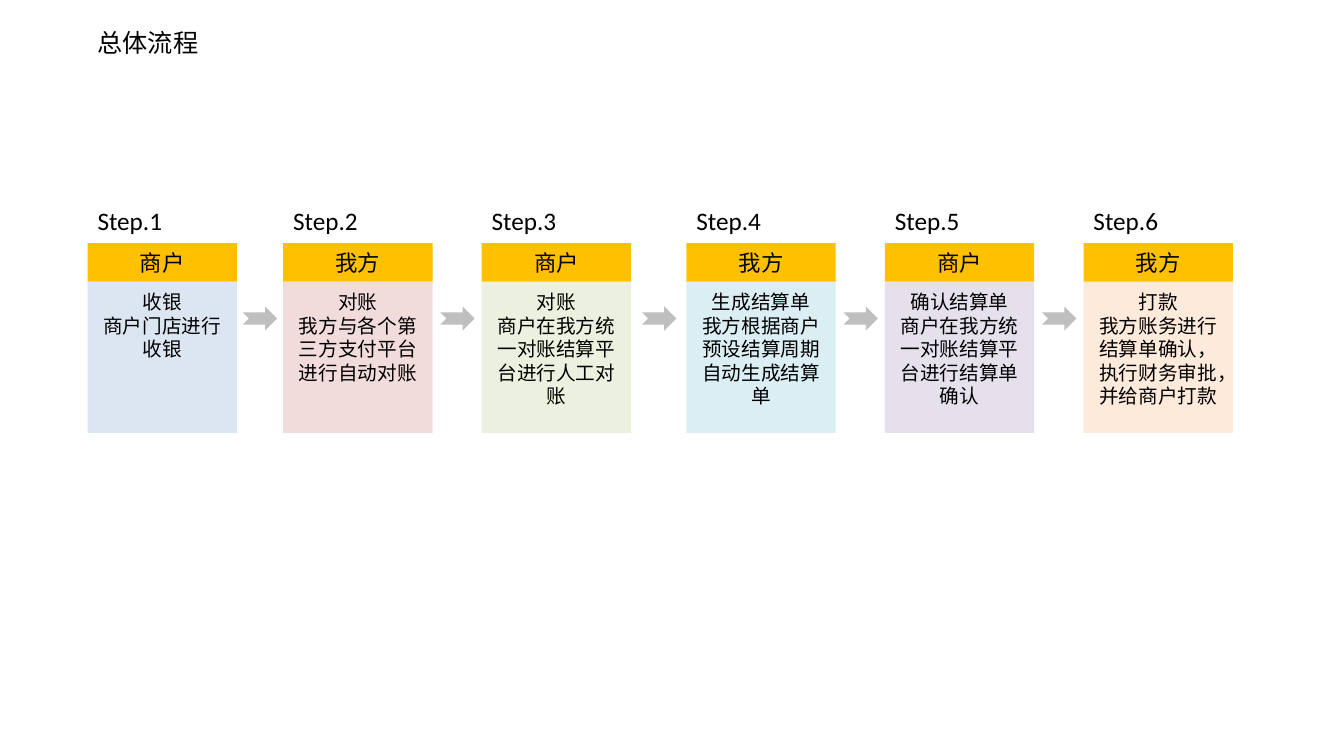
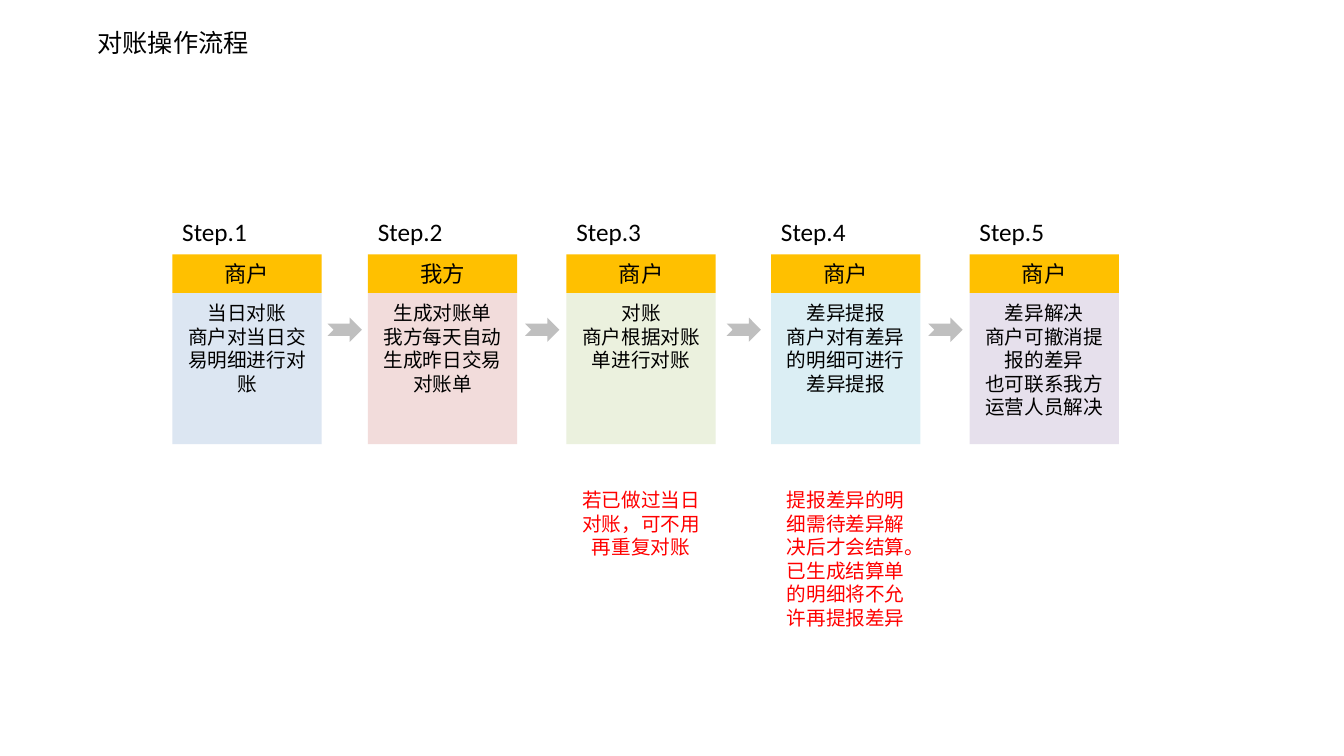
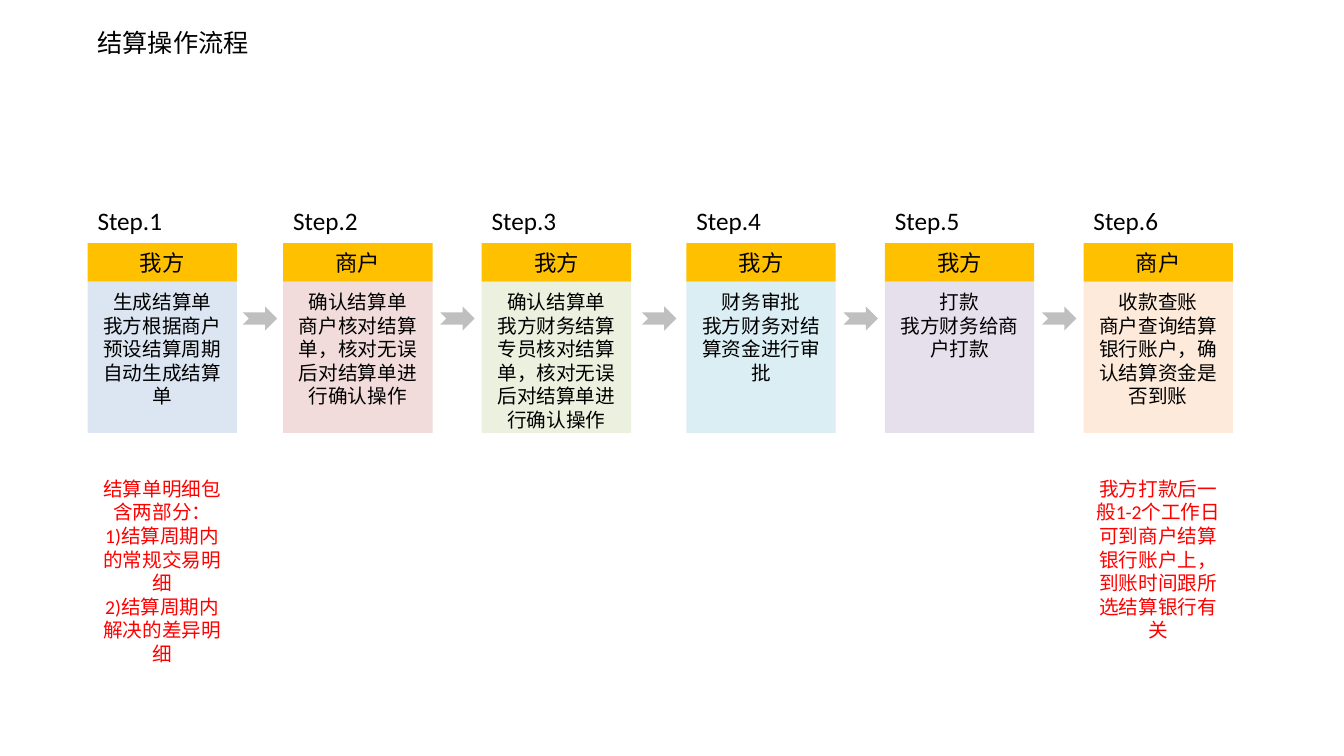
from dataclasses import dataclass

from pptx import Presentation
from pptx.dml.color import RGBColor
from pptx.enum.shapes import MSO_SHAPE as Shape
from pptx.enum.text import MSO_ANCHOR as Anchor, MSO_AUTO_SIZE as AutoSize, PP_ALIGN as Align
from pptx.util import Pt


@dataclass(frozen=True)
class Theme:
    """Colours, font and type sizes shared by all slides."""
    font: str = "Calibri"
    ink: str = "000000"
    note: str = "FF0000"
    header: str = "FFC000"
    arrow: str = "BFBFBF"
    cards: tuple = ("DCE6F2", "F2DCDB", "EBF1DE", "DBEEF4", "E6E0EC", "FDEADA")
    title_size: int = 18
    header_size: int = 16
    body_size: int = 14


theme = Theme()


def add_text(page, frame, text, size, color=theme.ink, align=Align.LEFT):
    """Add a wrapping text box that grows with its text."""
    box = page.shapes.add_textbox(*map(Pt, frame))
    box.text_frame.word_wrap = True
    box.text_frame.auto_size = AutoSize.SHAPE_TO_FIT_TEXT
    write(box, text, size, color, align)


def write(box, text, size, color=theme.ink, align=Align.CENTER):
    """Set the text of a box and format every run."""
    box.text_frame.text = text
    for para in box.text_frame.paragraphs:
        para.alignment = align
        for span in para.runs:
            span.font.name = theme.font
            span.font.size = Pt(size)
            span.font.color.rgb = RGBColor.from_string(color)


# Distances within a flow, from the left edge and top of its step labels
CARD_OFFSETS = (0, 139.7, 281.5, 427.7, 569.5, 711.4)
ARROW_OFFSETS = (110.9, 252, 396, 540, 681.8)
CARD_WIDTH, HEADER_HEIGHT, BODY_HEIGHT = 106.7, 27.5, 108
HEADER_DROP, BODY_DROP, ARROW_DROP, NOTE_DROP = 30.4, 58, 75.6, 193.8
ARROW_WIDTH, ARROW_HEIGHT = 24.5, 17.3
LABEL_WIDTH, LABEL_HEIGHT = 64, 29
BODY_INSET = 5.8
NOTE_LINE, NOTE_PADDING = 17, 7.2
TITLE_FRAME = (62.6, 15.8, 350, 29)

# Title, flow left, flow top, steps (owner, text), notes (step, lines, text)
FLOWS = [
    ("总体流程", 62.6, 143.3, [
        ("商户", "收银\n商户门店进行收银"),
        ("我方", "对账\n我方与各个第三方支付平台进行自动对账"),
        ("商户", "对账\n商户在我方统一对账结算平台进行人工对账"),
        ("我方", "生成结算单\n我方根据商户预设结算周期自动生成结算单"),
        ("商户", "确认结算单\n商户在我方统一对账结算平台进行结算单确认"),
        ("我方", "打款\n我方账务进行结算单确认，执行财务审批，并给商户打款"),
    ], []),
    ("对账操作流程", 123.1, 151.3, [
        ("商户", "当日对账\n商户对当日交易明细进行对账"),
        ("我方", "生成对账单\n我方每天自动生成昨日交易对账单"),
        ("商户", "对账\n商户根据对账单进行对账"),
        ("商户", "差异提报\n商户对有差异的明细可进行差异提报"),
        ("商户", "差异解决\n商户可撤消提报的差异\n也可联系我方运营人员解决"),
    ], [
        (4, 6, "提报差异的明细需待差异解决后才会结算。\n已生成结算单的明细将不允许再提报差异"),
        (3, 3, "若已做过当日对账，可不用再重复对账"),
    ]),
    ("结算操作流程", 62.6, 143.3, [
        ("我方", "生成结算单\n我方根据商户预设结算周期自动生成结算单"),
        ("商户", "确认结算单\n商户核对结算单，核对无误后对结算单进行确认操作"),
        ("我方", "确认结算单\n我方财务结算专员核对结算单，核对无误后对结算单进行确认操作"),
        ("我方", "财务审批\n我方财务对结算资金进行审批"),
        ("我方", "打款\n我方财务给商户打款"),
        ("商户", "收款查账\n商户查询结算银行账户，确认结算资金是否到账"),
    ], [
        (1, 8, "结算单明细包含两部分：\n1)结算周期内的常规交易明细\n2)结算周期内解决的差异明细"),
        (6, 7, "我方打款后一般1-2个工作日可到商户结算银行账户上，到账时间跟所选结算银行有关"),
    ]),
]

deck = Presentation()
deck.slide_width, deck.slide_height = Pt(960), Pt(540)

for title, left, top, steps, notes in FLOWS:
    page = deck.slides.add_slide(deck.slide_layouts[6])
    add_text(page, TITLE_FRAME, title, theme.title_size)

    for index, (owner, body_text) in enumerate(steps):
        x = left + CARD_OFFSETS[index]
        parts = [
            (Shape.RECTANGLE, x, BODY_DROP, CARD_WIDTH, BODY_HEIGHT,
             theme.cards[index], body_text, theme.body_size),
            (Shape.RECTANGLE, x, HEADER_DROP, CARD_WIDTH, HEADER_HEIGHT,
             theme.header, owner, theme.header_size),
        ]
        if index < len(steps) - 1:
            parts.append((Shape.NOTCHED_RIGHT_ARROW, left + ARROW_OFFSETS[index], ARROW_DROP,
                          ARROW_WIDTH, ARROW_HEIGHT, theme.arrow, "", theme.body_size))
        for preset, part_left, drop, width, height, fill, text, size in parts:
            box = page.shapes.add_shape(preset, Pt(part_left), Pt(top + drop), Pt(width), Pt(height))
            box.shadow.inherit = False
            box.fill.solid()
            box.fill.fore_color.rgb = RGBColor.from_string(fill)
            box.line.fill.background()
            write(box, text, size)
            if text == body_text:
                frame = box.text_frame
                frame.vertical_anchor = Anchor.TOP
                frame.margin_left = frame.margin_right = Pt(BODY_INSET)
                frame.margin_top = frame.margin_bottom = Pt(BODY_INSET)
        add_text(page, (x, top, LABEL_WIDTH, LABEL_HEIGHT), f"Step.{index + 1}", theme.title_size)

    for step, lines, text in notes:
        note_frame = (left + CARD_OFFSETS[step - 1], top + NOTE_DROP,
                      CARD_WIDTH, lines * NOTE_LINE + NOTE_PADDING)
        add_text(page, note_frame, text, theme.body_size, theme.note, Align.CENTER)

deck.save("out.pptx")
